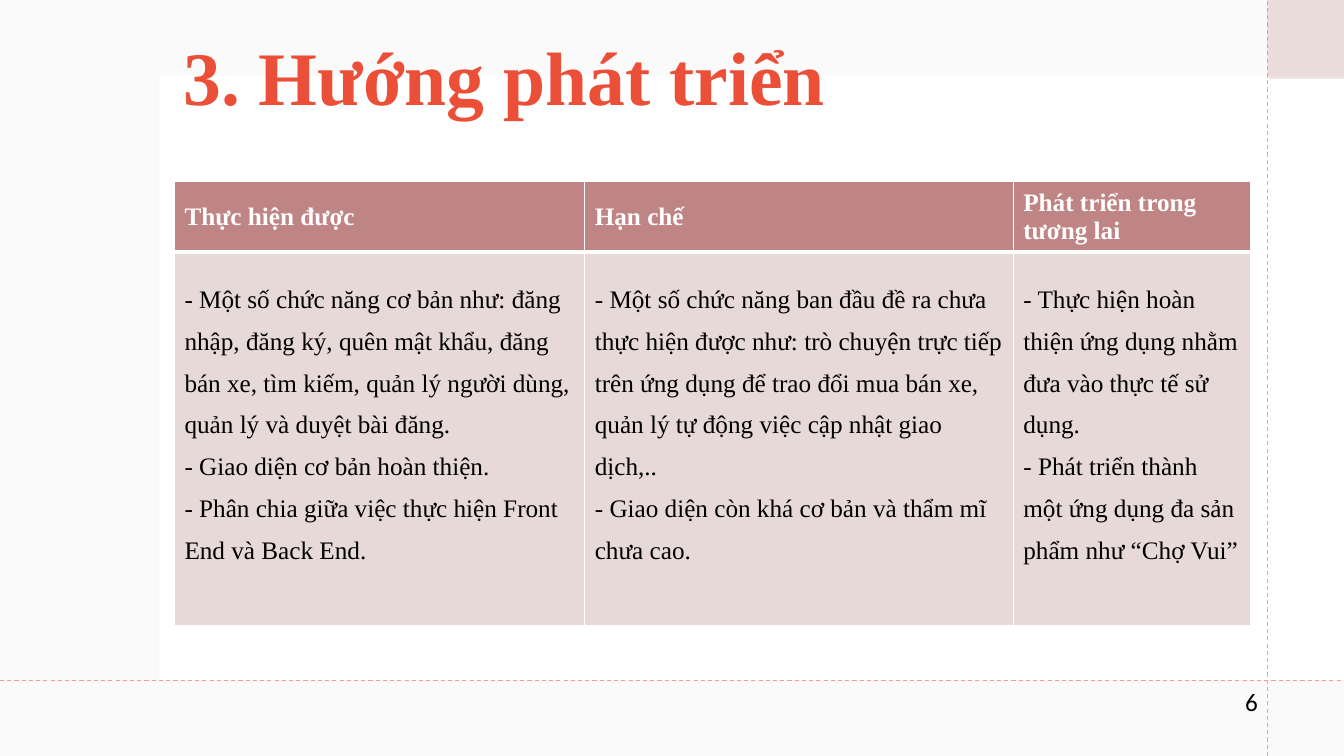
"""Build the slide that sums up results, limits and future development."""
from dataclasses import dataclass

from lxml.etree import SubElement
from pptx import Presentation
from pptx.dml.color import RGBColor
from pptx.enum.dml import MSO_LINE
from pptx.enum.shapes import MSO_CONNECTOR, MSO_SHAPE
from pptx.enum.text import MSO_ANCHOR
from pptx.oxml.ns import qn
from pptx.slide import Slide
from pptx.table import _Cell
from pptx.text.text import TextFrame
from pptx.util import Inches, Pt

COLORS = {
    "backdrop": "F4F4F4",
    "white": "FFFFFF",
    "guide": "F49D90",
    "rose": "BF8484",
    "pale_rose": "E8D9D9",
    "title": "EB4F38",
    "black": "000000",
}
WIDTH, HEIGHT = 13.33, 7.5
GUIDE_X, GUIDE_Y = 12.57, 6.75
HEADER_HEIGHT, BODY_HEIGHT = 0.69, 3.71
BODY_BOTTOM_MARGIN = 0.46


@dataclass(frozen=True)
class Panel:
    left: float
    top: float
    width: float
    height: float
    color: str
    opacity: int = 100


@dataclass(frozen=True)
class Guide:
    start: tuple[float, float]
    end: tuple[float, float]


@dataclass(frozen=True)
class Topic:
    heading: str
    width: float
    points: list[str]


PANELS = [
    Panel(0, 0, WIDTH, HEIGHT, "backdrop", 45),
    Panel(1.58, 0.75, 11.75, 6, "white"),
]
CORNER = Panel(GUIDE_X, 0, WIDTH - GUIDE_X, 0.78, "rose", 25)
GUIDES = [
    Guide((GUIDE_X, HEIGHT), (GUIDE_X, 0)),
    Guide((0, GUIDE_Y), (WIDTH, GUIDE_Y)),
]
TOPICS = [
    Topic("Thực hiện được", 4.07, [
        "- Một số chức năng cơ bản như: đăng nhập, đăng ký, quên mật khẩu, đăng bán xe, "
        "tìm kiếm, quản lý người dùng, quản lý và duyệt bài đăng.",
        "- Giao diện cơ bản hoàn thiện.",
        "- Phân chia giữa việc thực hiện Front End và Back End.",
    ]),
    Topic("Hạn chế", 4.25, [
        "- Một số chức năng ban đầu đề ra chưa thực hiện được như: trò chuyện trực tiếp "
        "trên ứng dụng để trao đổi mua bán xe, quản lý tự động việc cập nhật giao dịch,..",
        "- Giao diện còn khá cơ bản và thẩm mĩ chưa cao.",
    ]),
    Topic("Phát triển trong tương lai", 2.35, [
        "- Thực hiện hoàn thiện ứng dụng nhằm đưa vào thực tế sử dụng.",
        "- Phát triển thành một ứng dụng đa sản phẩm như “Chợ Vui”",
    ]),
]


def rgb(name: str) -> RGBColor:
    return RGBColor.from_string(COLORS[name])


def write(frame: TextFrame, lines: list[str], *, color: str = "black", size: float = 18,
          font: str = "Times New Roman", bold: bool = False, spacing: float = 1) -> None:
    for index, line in enumerate(lines):
        paragraph = frame.add_paragraph() if index else frame.paragraphs[0]
        paragraph.line_spacing = spacing
        run = paragraph.add_run()
        run.text = line
        run.font.name, run.font.size, run.font.bold = font, Pt(size), bold
        run.font.color.rgb = rgb(color)


def draw_panel(slide: Slide, panel: Panel) -> None:
    box = slide.shapes.add_shape(MSO_SHAPE.RECTANGLE, Inches(panel.left), Inches(panel.top),
                                 Inches(panel.width), Inches(panel.height))
    box.shadow.inherit = False
    box.line.fill.background()
    box.fill.solid()
    box.fill.fore_color.rgb = rgb(panel.color)
    if panel.opacity < 100:
        tint = box._element.spPr.find(f"{qn('a:solidFill')}/{qn('a:srgbClr')}")
        SubElement(tint, qn("a:alpha"), val=str(panel.opacity * 1000))


def draw_guide(slide: Slide, guide: Guide) -> None:
    ends = [Inches(value) for value in guide.start + guide.end]
    rule = slide.shapes.add_connector(MSO_CONNECTOR.STRAIGHT, *ends)
    rule.line.color.rgb = rgb("guide")
    rule.line.width = Pt(0.75)
    rule.line.dash_style = MSO_LINE.DASH
    SubElement(rule._element.spPr, qn("a:effectLst"))


def draw_label(slide: Slide, left: float, top: float, width: float, height: float,
               text: str, **style) -> None:
    label = slide.shapes.add_textbox(Inches(left), Inches(top), Inches(width), Inches(height))
    label.text_frame.word_wrap = False
    write(label.text_frame, [text], **style)


def style_cell(cell: _Cell, fill: str, bottom: float) -> None:
    cell.vertical_anchor = MSO_ANCHOR.MIDDLE
    for side, width in {"L": 1, "R": 1, "T": 1, "B": bottom}.items():
        edge = SubElement(cell._tc.get_or_add_tcPr(), qn(f"a:ln{side}"), w=str(Pt(width)))
        SubElement(SubElement(edge, qn("a:solidFill")), qn("a:srgbClr"), val=COLORS["white"])
    cell.fill.solid()
    cell.fill.fore_color.rgb = rgb(fill)


def draw_topics(slide: Slide, topics: list[Topic], left: float, top: float) -> None:
    width = sum(topic.width for topic in topics)
    table = slide.shapes.add_table(2, len(topics), Inches(left), Inches(top), Inches(width),
                                   Inches(HEADER_HEIGHT + BODY_HEIGHT)).table
    table.rows[0].height = Inches(HEADER_HEIGHT)
    table.rows[1].height = Inches(BODY_HEIGHT)
    for column, topic in enumerate(topics):
        table.columns[column].width = Inches(topic.width)
        heading, body = table.cell(0, column), table.cell(1, column)
        style_cell(heading, "rose", bottom=3)
        write(heading.text_frame, [topic.heading], color="white", bold=True)
        style_cell(body, "pale_rose", bottom=1)
        body.margin_bottom = Inches(BODY_BOTTOM_MARGIN)
        write(body.text_frame, topic.points, spacing=1.5)


def main() -> None:
    deck = Presentation()
    deck.slide_width, deck.slide_height = Inches(WIDTH), Inches(HEIGHT)
    slide = deck.slides.add_slide(deck.slide_layouts[6])
    for panel in PANELS:
        draw_panel(slide, panel)
    for guide in GUIDES:
        draw_guide(slide, guide)
    draw_panel(slide, CORNER)
    draw_label(slide, 12.25, 6.76, 0.32, 0.4, "6", font="Calibri")
    draw_label(slide, 1.72, 0.25, 6.63, 1.01, "3. Hướng phát triển",
               color="title", size=54, bold=True)
    draw_topics(slide, TOPICS, 1.73, 1.8)
    deck.save("out.pptx")


if __name__ == "__main__":
    main()
